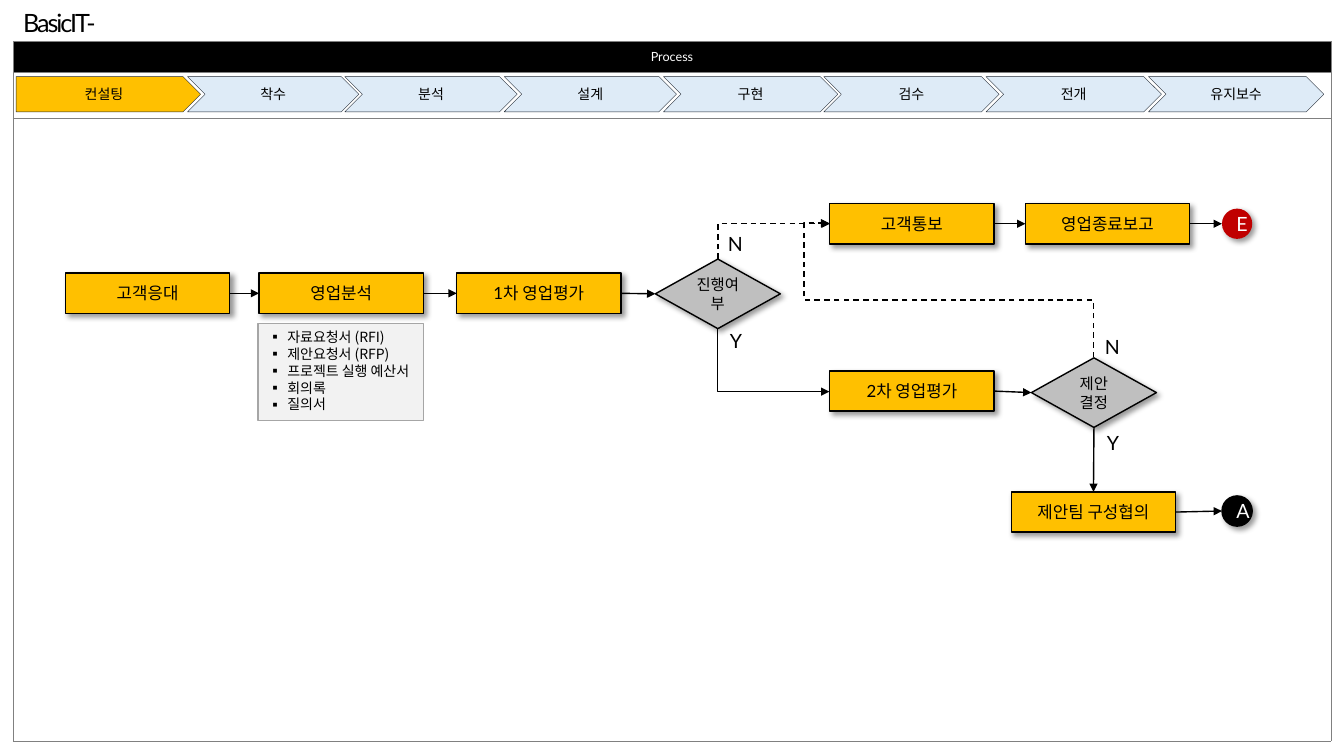
from dataclasses import dataclass

from lxml.etree import SubElement
from pptx import Presentation
from pptx.dml.color import RGBColor
from pptx.enum.dml import MSO_LINE
from pptx.enum.shapes import MSO_CONNECTOR, MSO_SHAPE
from pptx.enum.text import MSO_ANCHOR, MSO_AUTO_SIZE, PP_ALIGN
from pptx.oxml.ns import qn
from pptx.util import Emu, Inches, Pt

TOP, LEFT, BOTTOM, RIGHT = range(4)


@dataclass(frozen=True)
class Theme:
    font: str = "Lato"
    list_font: str = "Noto Sans CJK KR"
    black: str = "000000"
    white: str = "FFFFFF"
    amber: str = "FFC000"
    pale_blue: str = "DEEBF7"
    navy: str = "222A35"
    grey: str = "BFBFBF"
    red: str = "C00000"
    note: str = "F2F2F2"
    note_line: str = "A6A6A6"
    border: str = "808080"
    header_size: float = 9
    small_size: float = 10
    diamond_size: float = 11
    step_size: float = 12
    label_size: float = 14
    title_size: float = 18


def set_all(target, values):
    for name, value in values.items():
        setattr(target, name, value)


def add_xml(parent, tag, **attributes):
    return SubElement(parent, qn(tag), attributes)


class FlowSlide:
    def __init__(self, page, theme):
        self.page = page
        self.theme = theme

    def place(self, shape, *frame):
        names = ("left", "top", "width", "height")
        set_all(shape, dict(zip(names, map(Inches, frame))))

    def add_text(self, para, text, size, color=None, font=None):
        span = para.add_run()
        span.text = text
        set_all(span.font, {"name": font or self.theme.font, "size": Pt(size)})
        span.font.color.rgb = RGBColor.from_string(color or self.theme.black)
        return span

    def paint(self, shape, fill, line=None, width=1):
        shape.fill.solid()
        shape.fill.fore_color.rgb = RGBColor.from_string(fill)
        if line:
            shape.line.color.rgb = RGBColor.from_string(line)
            shape.line.width = Pt(width)
        else:
            shape.line.fill.background()

    def title(self, text, *frame):
        box = self.page.shapes.title
        self.place(box, *frame)
        set_all(box.text_frame, {"word_wrap": False, "auto_size": MSO_AUTO_SIZE.NONE,
                                 "vertical_anchor": MSO_ANCHOR.TOP})
        para = box.text_frame.paragraphs[0]
        para.alignment = PP_ALIGN.LEFT
        span = self.add_text(para, text, self.theme.title_size)
        span.font._element.set("spc", "-150")

    def bullet_note(self, items, *frame):
        box = self.page.placeholders[1]
        self.place(box, *frame)
        self.paint(box, self.theme.note, self.theme.note_line)
        set_all(box.text_frame, {"word_wrap": True, "auto_size": MSO_AUTO_SIZE.NONE,
                                 "vertical_anchor": MSO_ANCHOR.TOP})
        for index, item in enumerate(items):
            para = box.text_frame.add_paragraph() if index else box.text_frame.paragraphs[0]
            set_all(para, {"alignment": PP_ALIGN.LEFT, "space_before": Pt(0)})
            properties = para._p.get_or_add_pPr()
            properties.set("marL", str(Inches(0.19)))
            properties.set("indent", str(-Inches(0.19)))
            add_xml(properties, "a:buFont", typeface=self.theme.list_font)
            add_xml(properties, "a:buChar", char="▪")
            self.add_text(para, item, self.theme.small_size, font=self.theme.list_font)

    def process_table(self, heading, row_heights, *frame):
        table = self.page.shapes.add_table(len(row_heights), 1, *map(Inches, frame)).table
        for row, height in zip(table.rows, row_heights):
            row.height = Inches(height)
        for cell in table.iter_cells():
            properties = cell._tc.get_or_add_tcPr()
            for side in ("a:lnL", "a:lnR", "a:lnT", "a:lnB"):
                line = add_xml(properties, side, w=str(Pt(0.5)))
                add_xml(add_xml(line, "a:solidFill"), "a:srgbClr", val=self.theme.border)
            cell.fill.background()
        header = table.cell(0, 0)
        header.fill.solid()
        header.fill.fore_color.rgb = RGBColor.from_string(self.theme.black)
        header.vertical_anchor = MSO_ANCHOR.MIDDLE
        para = header.text_frame.paragraphs[0]
        para.alignment = PP_ALIGN.CENTER
        self.add_text(para, heading, self.theme.header_size, self.theme.white)

    def shape(self, kind, text, size, frame, fill, line=None, width=1, color=None, shadow=True):
        shape = self.page.shapes.add_shape(kind, *map(Inches, frame))
        self.paint(shape, fill, line, width)
        shape.shadow.inherit = False
        if shadow:
            effects = shape._element.spPr.find(qn("a:effectLst"))
            outer = add_xml(effects, "a:outerShdw", blurRad=str(Pt(4)), dist=str(Pt(3)),
                            dir="2700000", algn="tl", rotWithShape="0")
            add_xml(add_xml(outer, "a:srgbClr", val=self.theme.black), "a:alpha", val="40000")
        shape.text_frame.vertical_anchor = MSO_ANCHOR.MIDDLE
        para = shape.text_frame.paragraphs[0]
        para.alignment = PP_ALIGN.CENTER
        self.add_text(para, text, size, color)
        return shape

    def phase(self, kind, text, left, width, fill):
        self.shape(kind, text, self.theme.small_size, (left, 0.76, width, 0.35), fill,
                   self.theme.navy, 0.25, shadow=False)

    def step(self, text, left, top):
        return self.shape(MSO_SHAPE.RECTANGLE, text, self.theme.step_size,
                          (left, top, 1.63, 0.4), self.theme.amber, self.theme.black)

    def decision(self, text, left, top):
        return self.shape(MSO_SHAPE.DIAMOND, text, self.theme.diamond_size,
                          (left, top, 1.24, 0.69), self.theme.grey, self.theme.black)

    def terminal(self, text, top, fill, line=None):
        return self.shape(MSO_SHAPE.OVAL, text, self.theme.label_size, (12.12, top, 0.3, 0.3),
                          fill, line, color=self.theme.white)

    def label(self, text, left, top):
        box = self.page.shapes.add_textbox(*map(Inches, (left, top, 0.35, 0.34)))
        box.text_frame.word_wrap = False
        self.add_text(box.text_frame.paragraphs[0], text, self.theme.label_size)

    def arrow(self, start, end, start_side=RIGHT, kind=MSO_CONNECTOR.STRAIGHT, dashed=False):
        """Join a side of start to the left of end, or to its top when going straight down."""
        end_y = end.top + end.height // 2
        link = self.page.shapes.add_connector(kind, 0, 0, end.left, Emu(end_y))
        link.begin_connect(start, start_side)
        if end.auto_shape_type != MSO_SHAPE.OVAL:
            straight_down = kind == MSO_CONNECTOR.STRAIGHT and start_side == BOTTOM
            link.end_connect(end, TOP if straight_down else LEFT)
        link.line.color.rgb = RGBColor.from_string(self.theme.black)
        link.line.width = Pt(1)
        if dashed:
            link.line.dash_style = MSO_LINE.DASH
        add_xml(link.line._get_or_add_ln(), "a:tailEnd", type="triangle")
        add_xml(link._element.spPr, "a:effectLst")
        return link

    def elbow(self, start, end, side, frame, turn, flips, preset="bentConnector2",
              adjustments=(), dashed=False):
        link = self.arrow(start, end, side, MSO_CONNECTOR.ELBOW, dashed)
        self.place(link, *frame)
        transform = link._element.spPr.find(qn("a:xfrm"))
        transform.set("rot", str(turn * 60000))
        for name in ("flipH", "flipV"):
            transform.set(name, str(int(name in flips)))
        geometry = link._element.spPr.find(qn("a:prstGeom"))
        geometry.set("prst", preset)
        guides = geometry.find(qn("a:avLst"))
        for number, value in enumerate(adjustments, 1):
            add_xml(guides, "a:gd", name=f"adj{number}", fmla=f"val {value}")


def main():
    deck = Presentation()
    set_all(deck, {"slide_width": Inches(13.33), "slide_height": Inches(7.5)})
    theme = Theme()
    flow = FlowSlide(deck.slides.add_slide(deck.slide_layouts[1]), theme)

    flow.title("BasicIT-Method", 0.13, 0.02, 1.65, 0.4)
    flow.bullet_note(["자료요청서 (RFI)", "제안요청서 (RFP)", "프로젝트 실행 예산서", "회의록", "질의서"],
                     2.56, 3.21, 1.64, 0.96)
    flow.process_table("Process", (0.31, 0.45, 6.18), 0.13, 0.41, 13.07, 6.94)

    flow.phase(MSO_SHAPE.PENTAGON, "컨설팅", 0.16, 1.83, theme.amber)
    for text, left, width in (("착수", 1.86, 1.7), ("분석", 3.42, 1.71), ("설계", 5, 1.71),
                              ("구현", 6.58, 1.73), ("검수", 8.17, 1.74), ("전개", 9.78, 1.74),
                              ("유지보수", 11.39, 1.74)):
        flow.phase(MSO_SHAPE.CHEVRON, text, left, width, theme.pale_blue)

    reception = flow.step("고객응대", 0.65, 2.71)
    analysis = flow.step("영업분석", 2.57, 2.71)
    first_review = flow.step("1차 영업평가", 4.53, 2.71)
    proceed = flow.decision("진행여부", 6.5, 2.57)
    notice = flow.step("고객통보", 8.23, 2.02)
    closing = flow.step("영업종료보고", 10.17, 2.02)
    end = flow.terminal("E", 2.07, theme.red)
    second_review = flow.step("2차 영업평가", 8.23, 3.68)
    proposal = flow.decision("제안 결정", 10.23, 3.55)
    team = flow.step("제안팀 구성협의", 10.03, 4.88)
    next_page = flow.terminal("A", 4.92, theme.black, theme.black)

    for start, finish in ((reception, analysis), (analysis, first_review),
                          (first_review, proceed), (notice, closing), (closing, end),
                          (second_review, proposal), (team, next_page)):
        flow.arrow(start, finish)
    flow.arrow(proposal, team, BOTTOM)
    flow.elbow(proceed, notice, TOP, (7.5, 1.84, 0.35, 1.11), 90, ("flipH", "flipV"), dashed=True)
    flow.elbow(proposal, notice, TOP, (8.87, 1.57, 1.33, 2.62), 270, ("flipV",),
               "bentConnector4", (42600, 109500), dashed=True)
    flow.elbow(proceed, second_review, BOTTOM, (7.36, 3.02, 0.62, 1.11), 270, ("flipH",))

    for text, left, top in (("Y", 7.14, 3.21), ("N", 7.12, 2.25),
                            ("Y", 10.88, 4.23), ("N", 10.86, 3.27)):
        flow.label(text, left, top)
    deck.save("out.pptx")


if __name__ == "__main__":
    main()
